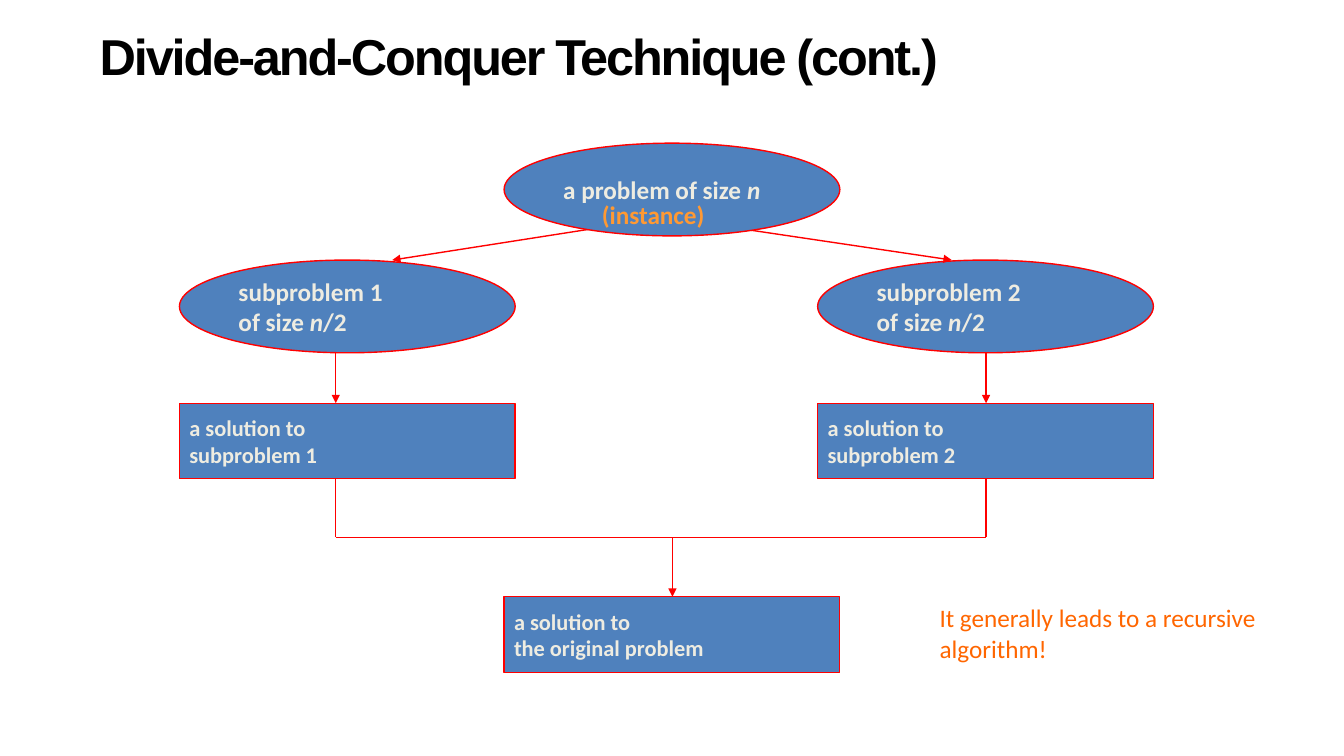
from lxml import etree
from pptx import Presentation
from pptx.dml.color import RGBColor
from pptx.enum import shapes as sh, text as tx
from pptx.oxml import ns
from pptx.util import Inches, Pt

BLACK = RGBColor(0x00, 0x00, 0x00)
BLUE = RGBColor(0x4F, 0x81, 0xBD)
CREAM = RGBColor(0xEE, 0xEC, 0xE1)
RED = RGBColor(0xFF, 0x00, 0x00)
AMBER = RGBColor(0xFF, 0x99, 0x33)
ORANGE = RGBColor(0xFF, 0x66, 0x00)

OVAL = sh.MSO_SHAPE.OVAL
RECT = sh.MSO_SHAPE.RECTANGLE
WIDE, TALL, LOW = 3.33, 0.92, 0.75


def write(frame, lines, size=18, color=CREAM, font="Calibri", bold=True,
          anchor=tx.MSO_ANCHOR.MIDDLE, track=None):
    frame.word_wrap = True
    frame.vertical_anchor = anchor
    for i, line in enumerate(lines):
        para = frame.paragraphs[0] if i == 0 else frame.add_paragraph()
        para.alignment = tx.PP_ALIGN.LEFT
        for j, part in enumerate(line.split("*")):
            if not part:
                continue
            run = para.add_run()
            run.text = part
            run.font.size = Pt(size)
            run.font.name = font
            run.font.bold = bold
            run.font.italic = j % 2 == 1
            run.font.color.rgb = color
            if track:
                run.font._element.set("spc", str(round(track * 100)))


def label(slide, box, lines, **form):
    area = slide.shapes.add_textbox(*map(Inches, box))
    write(area.text_frame, lines, **form)


def node(slide, kind, box, lines, **form):
    shape = slide.shapes.add_shape(kind, *map(Inches, box))
    shape.shadow.inherit = False
    shape.fill.solid()
    shape.fill.fore_color.rgb = BLUE
    shape.line.color.rgb = RED
    shape.line.width = Pt(1)
    write(shape.text_frame, lines, **form)


def link(slide, start, end, arrow=True):
    line = slide.shapes.add_connector(
        sh.MSO_CONNECTOR.STRAIGHT, *map(Inches, (*start, *end)))
    line.line.color.rgb = RED
    line.line.width = Pt(1)
    if arrow:
        edge = line.line._get_or_add_ln()
        etree.SubElement(edge, ns.qn("a:tailEnd"), type="triangle")
    etree.SubElement(line._element.spPr, ns.qn("a:effectLst"))


def branch(slide, left, top, stem, num):
    base = top + 1.42
    node(slide, OVAL, (left, top, WIDE, TALL),
         [f"subproblem {num}", "of size *n*/2"])
    node(slide, RECT, (left, base, WIDE, LOW),
         ["a solution to", f"subproblem {num}"], size=16)
    link(slide, (stem, top + TALL), (stem, base))
    link(slide, (stem, base + LOW), (stem, base + 1.33), arrow=False)


def root(slide, left, top):
    link(slide, (left + 1, top + 0.83), (left - 1.11, top + 1.16))
    link(slide, (left + 2.22, top + 0.83), (left + 4.44, top + 1.16))
    node(slide, OVAL, (left, top, WIDE, TALL), ["a problem of size *n*"])
    label(slide, (left + 0.87, top + 0.51, 2.11, 0.4), ["(instance)"],
          color=AMBER, anchor=tx.MSO_ANCHOR.TOP)


def merge(slide, left, top, stems):
    bar = top - 0.59
    mid = left + 1.67
    link(slide, (stems[0], bar), (stems[1], bar), arrow=False)
    link(slide, (mid, bar), (mid, top))
    node(slide, RECT, (left, top, WIDE, LOW),
         ["a solution to", "the original problem"], size=16)


def main():
    deck = Presentation()
    deck.slide_width, deck.slide_height = Inches(13.33), Inches(7.5)
    slide = deck.slides.add_slide(deck.slide_layouts[6])
    label(slide, (0.89, 0.17, 12, 0.75),
          ["Divide-and-Conquer Technique (cont.)"],
          size=36, color=BLACK, font="Arial", track=-1.5)
    stems = (3.33, 9.78)
    for num, (left, stem) in enumerate(zip((1.78, 8.11), stems), 1):
        branch(slide, left, 2.58, stem, num)
    root(slide, 5, 1.42)
    merge(slide, 5, 5.92, stems)
    label(slide, (9.22, 5.93, 4, 0.71),
          ["It generally leads to a recursive algorithm!"],
          color=ORANGE, bold=False, anchor=tx.MSO_ANCHOR.TOP)
    deck.save("out.pptx")


if __name__ == "__main__":
    main()
